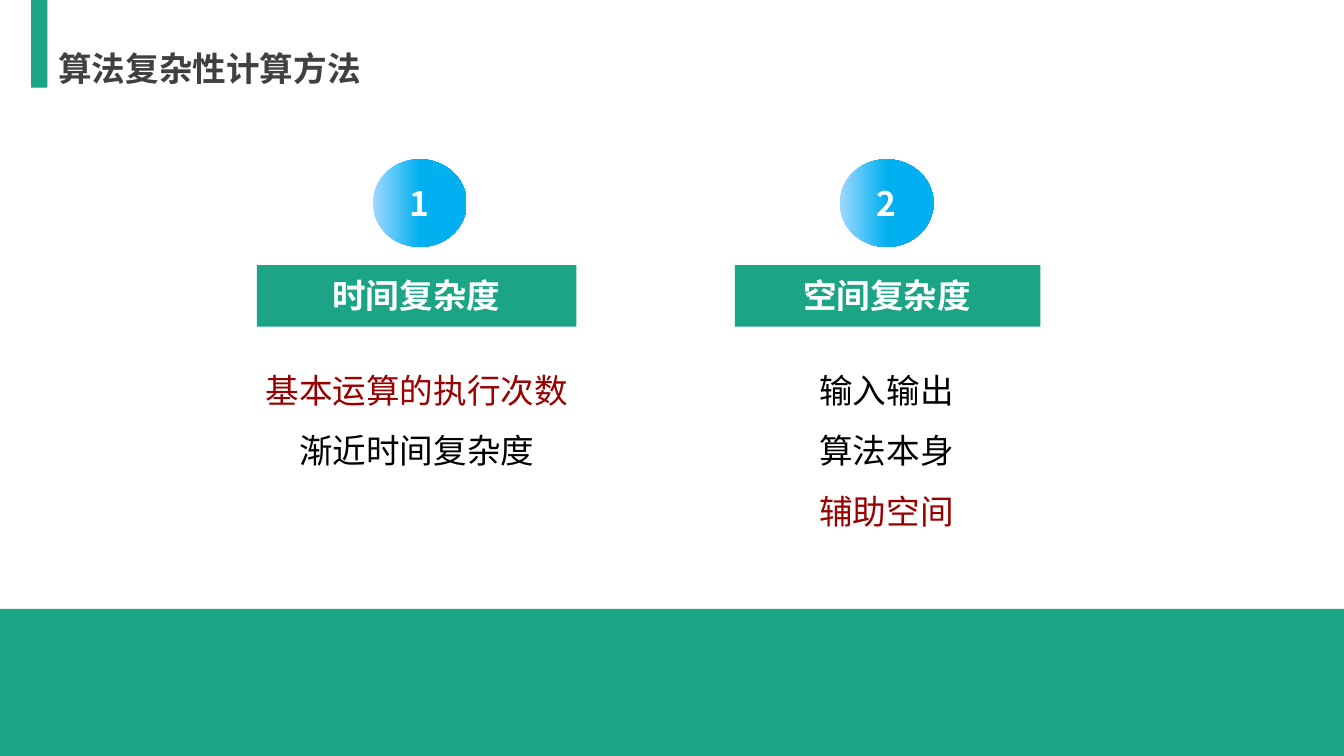
from dataclasses import dataclass

from lxml import etree
from pptx import Presentation
from pptx.dml.color import RGBColor
from pptx.enum import shapes, text
from pptx.oxml import ns
from pptx.util import Pt

FONT = "Noto Sans CJK SC"
COLORS = {
    "green": "1BA486",
    "title": "404040",
    "white": "FFFFFF",
    "black": "000000",
    "red": "990000",
    "pale_blue": "9FD8FF",
    "blue": "00B0F0",
}
PAGE_WIDTH, PAGE_HEIGHT = 960, 540
FOOTER_TOP = 434.9


@dataclass(frozen=True)
class Line:
    words: str
    color: str = "black"
    bold: bool = False
    spacing: float = 1.0
    align: text.PP_ALIGN = text.PP_ALIGN.CENTER


@dataclass(frozen=True)
class Frame:
    left: float
    top: float
    width: float
    height: float

    def lengths(self) -> tuple:
        return tuple(Pt(n) for n in (self.left, self.top, self.width, self.height))


@dataclass(frozen=True)
class Topic:
    number: str
    heading: str
    badge: Frame
    banner: Frame
    heading_frame: Frame
    body_frame: Frame
    body: tuple[Line, ...]


def rgb(name: str) -> RGBColor:
    return RGBColor.from_string(COLORS[name])


def write_lines(frame, lines: tuple[Line, ...]) -> None:
    for index, line in enumerate(lines):
        para = frame.paragraphs[0] if index == 0 else frame.add_paragraph()
        para.text = line.words
        para.alignment = line.align
        para.line_spacing = line.spacing
        font = para.font
        font.name, font.size, font.bold = FONT, Pt(24), line.bold
        font.color.rgb = rgb(line.color)
        # East Asian characters take their typeface from a:ea
        latin = para._p.pPr.find(ns.qn("a:defRPr")).find(ns.qn("a:latin"))
        east_asian = etree.Element(ns.qn("a:ea"), typeface=FONT)
        latin.addnext(east_asian)


def add_label(container, frame: Frame, *lines: Line) -> None:
    box = container.add_textbox(*frame.lengths())
    box.text_frame.word_wrap = False
    box.text_frame.auto_size = text.MSO_AUTO_SIZE.SHAPE_TO_FIT_TEXT
    write_lines(box.text_frame, lines)


def add_block(container, frame: Frame) -> None:
    """Add a plain green rectangle."""
    block = container.add_shape(shapes.MSO_SHAPE.RECTANGLE, *frame.lengths())
    block.shadow.inherit = False
    block.fill.solid()
    block.fill.fore_color.rgb = rgb("green")
    block.line.fill.background()


def add_badge(container, frame: Frame, number: str) -> None:
    badge = container.add_shape(shapes.MSO_SHAPE.OVAL, *frame.lengths())
    badge.shadow.inherit = False
    badge.line.fill.background()
    badge.fill.gradient()
    badge.fill.gradient_angle = 0
    stops = zip(badge.fill.gradient_stops, ((0, "pale_blue"), (0.5, "blue")))
    for stop, (position, color) in stops:
        stop.position = position
        stop.color.rgb = rgb(color)
    badge.text_frame.vertical_anchor = text.MSO_ANCHOR.MIDDLE
    write_lines(badge.text_frame, (Line(number, "white", True),))


def add_topic(page, topic: Topic) -> None:
    group = page.shapes.add_group_shape().shapes
    add_block(group, topic.banner)
    add_label(group, topic.heading_frame, Line(topic.heading, "white", True))
    add_label(group, topic.body_frame, *topic.body)
    add_badge(page.shapes, topic.badge, topic.number)


TOPICS = (
    Topic(
        "1",
        "时间复杂度",
        badge=Frame(266.4, 113.8, 67, 62.6),
        banner=Frame(183.6, 189.4, 228.2, 43.9),
        heading_frame=Frame(229.7, 193, 135.4, 36),
        body_frame=Frame(181.4, 246.2, 232.6, 89.3),
        body=(
            Line("基本运算的执行次数", "red", spacing=1.5),
            Line("渐近时间复杂度", spacing=1.5),
        ),
    ),
    Topic(
        "2",
        "空间复杂度",
        badge=Frame(599.8, 113.8, 67, 62.6),
        banner=Frame(524.9, 189.4, 218.2, 43.9),
        heading_frame=Frame(565.9, 193, 135.4, 36),
        body_frame=Frame(577.4, 246.2, 111.6, 133.2),
        body=(
            Line("输入输出", spacing=1.5),
            Line("算法本身", spacing=1.5),
            Line("辅助空间", "red", spacing=1.5),
        ),
    ),
)


def main() -> None:
    deck = Presentation()
    deck.slide_width, deck.slide_height = Pt(PAGE_WIDTH), Pt(PAGE_HEIGHT)
    page = deck.slides.add_slide(deck.slide_layouts[6])

    add_block(page.shapes, Frame(22.3, 0, 11.5, 62.6))
    title = Line("算法复杂性计算方法", "title", True, align=text.PP_ALIGN.LEFT)
    add_label(page.shapes, Frame(34.6, 31, 232.6, 36), title)
    for topic in TOPICS:
        add_topic(page, topic)
    add_block(page.shapes, Frame(0, FOOTER_TOP, PAGE_WIDTH, PAGE_HEIGHT - FOOTER_TOP))

    deck.save("out.pptx")


if __name__ == "__main__":
    main()
